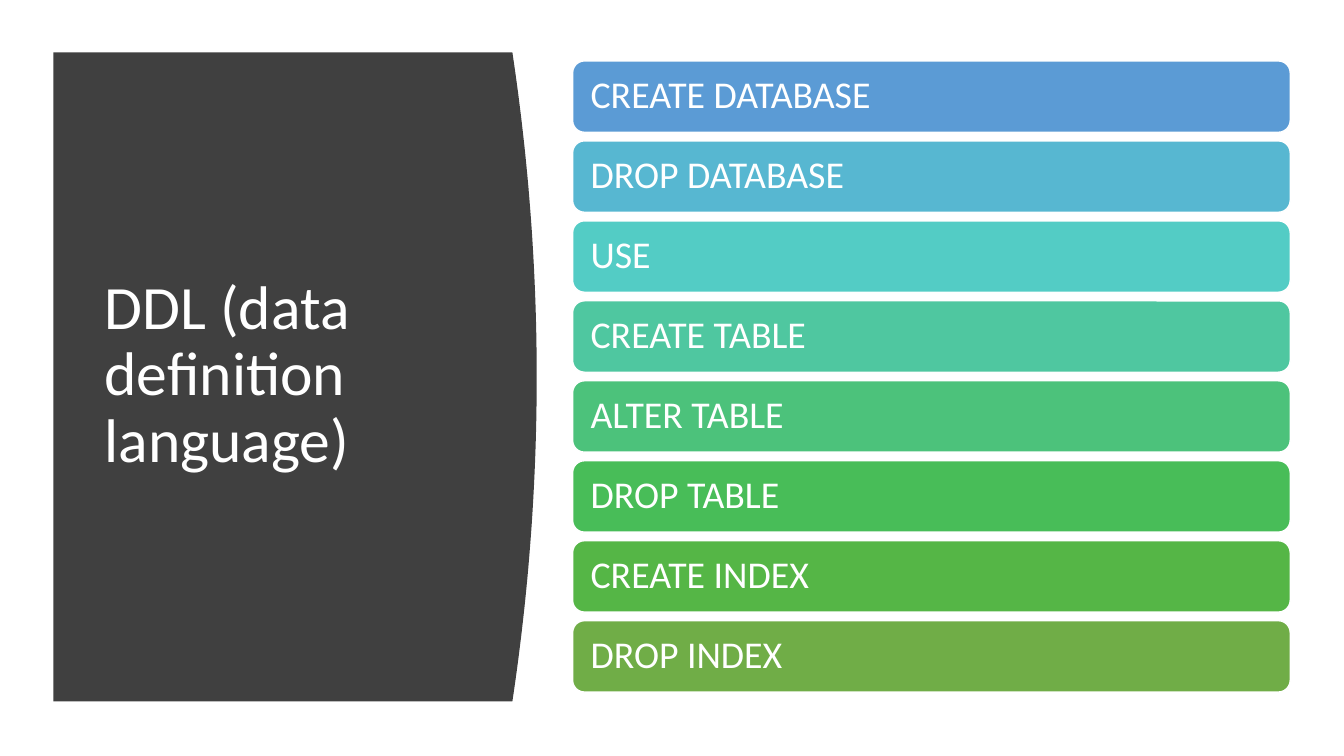
"""Build a slide that lists the SQL data definition statements."""
from pptx import Presentation
from pptx import util as u
from pptx.dml.color import RGBColor
from pptx.enum import shapes, text

COLORS = {
    "paper": "FFFFFF",
    "panel": "404040",
    "CREATE DATABASE": "5B9BD5",
    "DROP DATABASE": "57B7D1",
    "USE": "53CCC5",
    "CREATE TABLE": "4FC7A0",
    "ALTER TABLE": "4CC27B",
    "DROP TABLE": "48BD58",
    "CREATE INDEX": "55B646",
    "DROP INDEX": "70AD47",
}
STATEMENTS = [name for name in COLORS if name not in ("paper", "panel")]


class StatementSlide:
    """Hold the style and the current slide, and draw its elements."""

    def __init__(self, deck):
        self.slide = deck.slides.add_slide(deck.slide_layouts[6])
        self.font_name = "Calibri"
        self.frame_format = {
            "word_wrap": True,
            "auto_size": text.MSO_AUTO_SIZE.NONE,
            "vertical_anchor": text.MSO_ANCHOR.MIDDLE,
        }
        self.paragraph_format = {"alignment": text.PP_ALIGN.LEFT, "line_spacing": 0.9}

    def color(self, name):
        """Return the named colour."""
        return RGBColor.from_string(COLORS[name])

    def apply(self, target, values):
        """Set each format value on the target."""
        for attribute, value in values.items():
            setattr(target, attribute, value)

    def paint(self, shape, fill):
        """Give the shape a plain fill without a shadow."""
        shape.shadow.inherit = False
        shape.fill.solid()
        shape.fill.fore_color.rgb = self.color(fill)

    def label(self, shape, words, size, margin):
        """Put white, left-aligned words in the middle of the shape's height."""
        frame = shape.text_frame
        side_margins = {"margin_left": u.Pt(margin), "margin_right": u.Pt(margin)}
        self.apply(frame, self.frame_format | side_margins)
        paragraph = frame.paragraphs[0]
        paragraph.text = words
        self.apply(paragraph, self.paragraph_format)
        self.apply(paragraph.runs[0].font, {"name": self.font_name, "size": u.Pt(size)})
        paragraph.runs[0].font.color.rgb = self.color("paper")

    def panel(self, left, top, shoulder, bulge, height, steps=48):
        """Draw a panel whose right side bows outwards as a parabola."""
        arc = []
        for step in range(steps + 1):
            offset = 2 * step / steps - 1
            x = shoulder + bulge * (1 - offset ** 2)
            arc.append((u.Pt(x), u.Pt(top + height * step / steps)))
        outline = self.slide.shapes.build_freeform(u.Pt(left), u.Pt(top))
        outline.add_line_segments(arc + [(u.Pt(left), u.Pt(top + height))], close=True)
        panel = outline.convert_to_shape()
        self.paint(panel, "panel")
        panel.line.fill.background()

    def title(self, words, left, top, width, height):
        """Place the slide title."""
        box = [u.Pt(length) for length in (left, top, width, height)]
        self.label(self.slide.shapes.add_textbox(*box), words, 44, 7.2)

    def bar(self, statement, left, top, width, height):
        """Draw a rounded bar that carries one statement."""
        box = [u.Pt(length) for length in (left, top, width, height)]
        bar = self.slide.shapes.add_shape(shapes.MSO_SHAPE.ROUNDED_RECTANGLE, *box)
        self.paint(bar, statement)
        bar.line.color.rgb = self.color("paper")
        bar.line.width = u.Pt(1)
        self.label(bar, statement, 27, 10.4)


def main():
    """Build and save the slide."""
    deck = Presentation()
    deck.slide_width, deck.slide_height = u.Pt(960), u.Pt(540)
    page = StatementSlide(deck)
    page.panel(left=38.2, top=37.4, shoulder=366, bulge=17.4, height=463.7)
    page.title("DDL (data definition language)", 67.7, 79.9, 269.3, 377.3)
    first_top, pitch = 43.5, 57.12
    for row, statement in enumerate(STATEMENTS):
        page.bar(statement, 409, first_top + row * pitch, 512.6, 51)
    deck.save("out.pptx")


if __name__ == "__main__":
    main()
